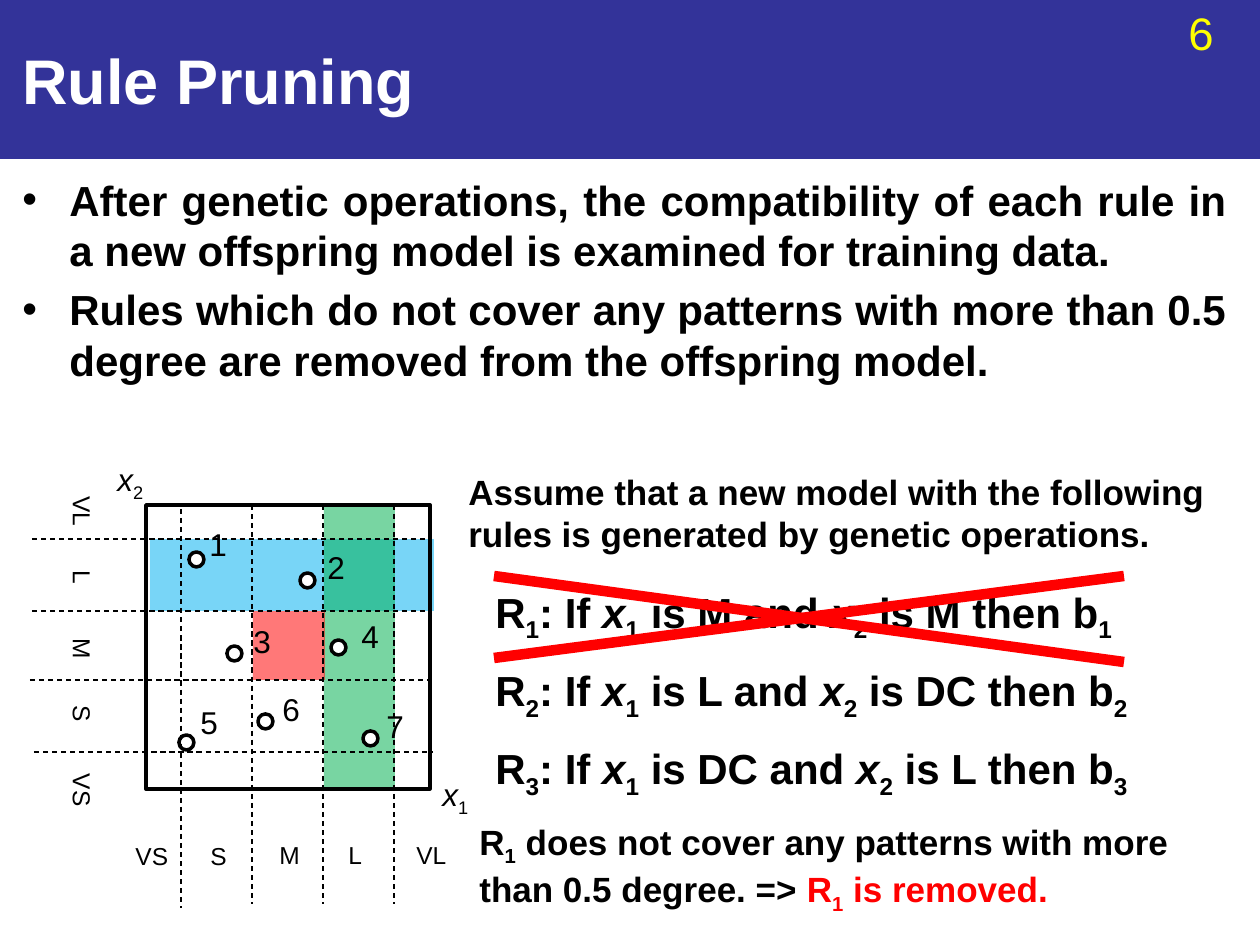
from pptx import Presentation
from pptx import util as u
from pptx.dml import color as dml
from pptx.enum import dml as dash, shapes, text
from pptx.oxml import ns
from lxml import etree

SCALE = 914400 / 126
COLORS = {"navy": "333399", "yellow": "FFFF00", "white": "FFFFFF", "black": "000000",
          "blue": "00B0F0", "green": "00B050", "red": "FF0000"}
LABEL_WIDTHS = {"VS": 58, "S": 42, "M": 45, "L": 39, "VL": 55}


def emu(pixels):
    return u.Emu(round(pixels * SCALE))


def rgb(name):
    return dml.RGBColor.from_string(COLORS[name])


def add_child(parent, tag, **attributes):
    return etree.SubElement(parent, ns.qn(tag), attributes)


def add_box(page, kind, place, fill=None, line=None, width=2, opacity=None):
    shape = page.shapes.add_shape(kind, *map(emu, place))
    shape.shadow.inherit = False
    if fill:
        shape.fill.solid()
        shape.fill.fore_color.rgb = rgb(fill)
        if opacity:
            tint = shape.fill._xPr.find(".//" + ns.qn("a:srgbClr"))
            add_child(tint, "a:alpha", val=str(opacity * 1000))
    else:
        shape.fill.background()
    if line:
        shape.line.color.rgb = rgb(line)
        shape.line.width = u.Pt(width)
    else:
        shape.line.fill.background()


def add_line(page, start, end, color="black", width=0.75, dashed=False):
    line = page.shapes.add_connector(shapes.MSO_CONNECTOR.STRAIGHT, *map(emu, start + end))
    line.line.color.rgb = rgb(color)
    line.line.width = u.Pt(width)
    if dashed:
        line.line.dash_style = dash.MSO_LINE.DASH
    add_child(line._element.spPr, "a:effectLst")


def add_spans(para, markup, size, color, bold):
    """Spans are parted by |; a leading _ is subscript, / is italic, ! is red."""
    for piece in markup.split("|"):
        mark = piece.lstrip("!")
        span = para.add_run()
        span.text = mark.lstrip("_/")
        span.font.name = "Arial"
        span.font.size = u.Pt(size)
        span.font.bold = bold
        span.font.italic = mark.startswith("/")
        span.font.color.rgb = rgb("red" if piece.startswith("!") else color)
        if mark.startswith("_"):
            span.font._element.set("baseline", "-25000")


def add_text(page, place, paras, size=18, color="black", bold=False, wrap=False, grow=True,
             middle=False, rotation=0, bullet=False, before=0, after=0):
    box = page.shapes.add_textbox(*map(emu, place))
    box.rotation = rotation
    frame = box.text_frame
    frame.word_wrap = wrap
    frame.auto_size = text.MSO_AUTO_SIZE.SHAPE_TO_FIT_TEXT if grow else text.MSO_AUTO_SIZE.NONE
    frame.vertical_anchor = text.MSO_ANCHOR.MIDDLE if middle else text.MSO_ANCHOR.TOP
    for index, markup in enumerate(paras):
        para = frame.add_paragraph() if index else frame.paragraphs[0]
        para.space_before, para.space_after = u.Pt(before), u.Pt(after)
        if bullet:
            para.alignment = text.PP_ALIGN.JUSTIFY
            indent = emu(47)
            props = para._p.get_or_add_pPr()
            props.set("marL", str(indent))
            props.set("indent", str(-indent))
            add_child(props, "a:buFont", typeface="Arial")
            add_child(props, "a:buChar", char="•")
        add_spans(para, markup, size, color, bold)


def add_header(page):
    add_box(page, shapes.MSO_SHAPE.RECTANGLE, (0, 0, 1260, 158), "navy", "navy", 0.75)
    add_text(page, (1176, -1, 84, 68), ["6"], size=26, color="yellow", wrap=True)
    add_text(page, (10, 0, 1134, 158), ["Rule Pruning"], size=36, color="white", bold=True,
             wrap=True, grow=False, middle=True)


def add_regions(page):
    for place, fill in (((150, 539, 284, 72), "blue"), ((324, 505, 71, 285), "green"),
                        ((253, 611, 72, 69), "red")):
        add_box(page, shapes.MSO_SHAPE.RECTANGLE, place, fill, opacity=53)
    add_box(page, shapes.MSO_SHAPE.RECTANGLE, (146, 505, 284, 284), line="black")


def add_axis_labels(page):
    for name, left, top in (("VS", 123, 835), ("S", 198, 835), ("M", 267, 834),
                            ("L", 336, 834), ("VL", 404, 834)):
        add_text(page, (left, top, LABEL_WIDTHS[name], 43), [name], size=14)
    for name, top in (("VL", 490), ("L", 556), ("M", 627), ("S", 693), ("VS", 769)):
        width = LABEL_WIDTHS[name]
        add_text(page, (82 - width / 2, top, width, 43), [name], size=14, rotation=90)
    for number, left, top in ((1, 430, 769), (2, 105, 454)):
        add_text(page, (left, top, 53, 50), [f"/x|_{number}"])


def add_patterns(page):
    # Marker corner, then label corner
    patterns = (((189, 552), (197, 519)), ((300, 573), (315, 542)), ((227, 646), (241, 616)),
                ((331, 640), (349, 611)), ((179, 735), (188, 697)), ((258, 714), (270, 684)),
                ((363, 731), (374, 701)))
    for number, (marker, label) in enumerate(patterns, 1):
        add_box(page, shapes.MSO_SHAPE.OVAL, marker + (15, 15), "white", "black")
        add_text(page, label + (43, 50), [str(number)])


def add_grid(page):
    for left, top in ((32, 539), (32, 611), (30, 680), (34, 752)):
        add_line(page, (left, top), (left + 399, top), dashed=True)
    for left, top in ((394, 505), (323, 505), (252, 505), (181, 509)):
        add_line(page, (left, top), (left, top + 399), dashed=True)


def add_rules(page):
    add_text(page, (456, 464, 795, 97),
             ["Assume that a new model with the following rules is generated by genetic operations."],
             size=20, bold=True, wrap=True)
    rules = [f"R|_{n}|: If |/x|_1| is {first} and |/x|_2| is {second} then b|_{n}"
             for n, (first, second) in enumerate((("M", "M"), ("L", "DC"), ("DC", "L")), 1)]
    add_text(page, (483, 580, 682, 208), rules, size=24, bold=True, after=12)
    add_text(page, (467, 814, 719, 97),
             ["R|_1| does not cover any patterns with more than 0.5 degree. => |!R|!_1|! is removed."],
             size=20, bold=True, wrap=True)
    # Cross over the removed rule
    for start, end in ((576, 662), (658, 576)):
        add_line(page, (494, start), (1124, end), "red", 6)


def main():
    deck = Presentation()
    deck.slide_width, deck.slide_height = emu(1260), emu(945)
    page = deck.slides.add_slide(deck.slide_layouts[6])
    add_header(page)
    add_text(page, (10, 168, 1229, 294),
             ["After genetic operations, the compatibility of each rule in a new offspring model "
              "is examined for training data.",
              "Rules which do not cover any patterns with more than 0.5 degree are removed "
              "from the offspring model."],
             size=24, bold=True, wrap=True, grow=False, bullet=True, before=5)
    # Fuzzy partition diagram
    add_regions(page)
    add_axis_labels(page)
    add_patterns(page)
    add_grid(page)
    # Rule list and conclusion
    add_rules(page)
    deck.save("out.pptx")


main()
